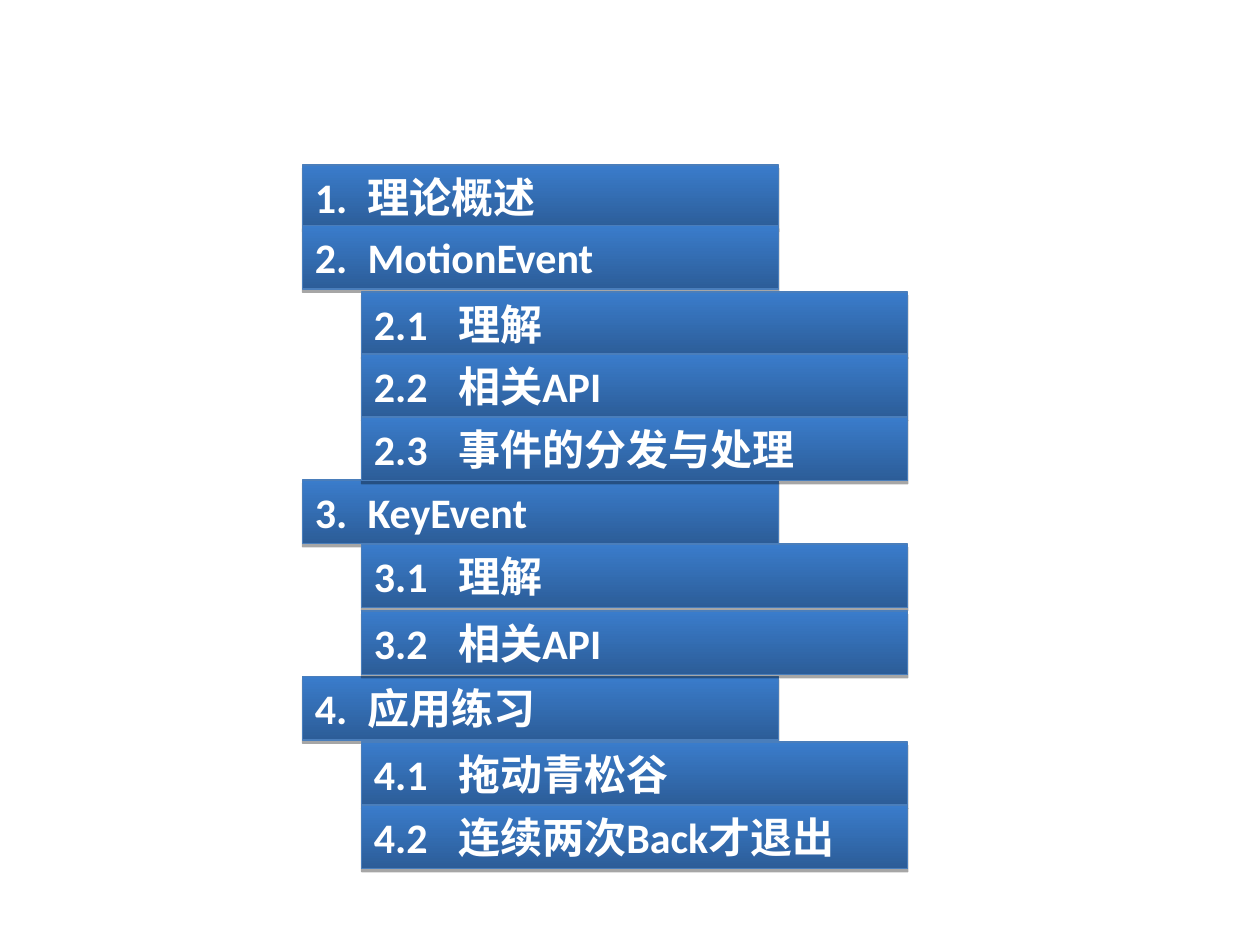
from dataclasses import dataclass

from lxml import etree
from pptx import Presentation
from pptx.dml.color import RGBColor
from pptx.enum import shapes, text
from pptx.oxml import ns
from pptx.util import Cm, Pt

FONT = "Calibri"
WHITE, LINE, DARK, LIGHT, BLACK = "FFFFFF", "4A7EBB", "2C5D98", "3A7CCB", "000000"
BAR_HEIGHT = 1.28


@dataclass(frozen=True)
class Level:
    """Placing shared by all bars of one outline level, in cm."""
    left: float
    width: float
    title_tab: float


@dataclass(frozen=True)
class Entry:
    level: Level
    top: float
    number: str
    title: str


CHAPTER = Level(left=6.1, width=9.6, title_tab=1.06)
TOPIC = Level(left=7.29, width=11.01, title_tab=1.7)

ENTRIES = [
    Entry(CHAPTER, 3.33, "1.", "理论概述"),
    Entry(CHAPTER, 4.55, "2.", "MotionEvent"),
    Entry(CHAPTER, 9.68, "3.", "KeyEvent"),
    Entry(CHAPTER, 13.64, "4.", "应用练习"),
    Entry(TOPIC, 5.89, "2.1", "理解"),
    Entry(TOPIC, 7.14, "2.2", "相关API"),
    Entry(TOPIC, 8.41, "2.3", "事件的分发与处理"),
    Entry(TOPIC, 10.97, "3.1", "理解"),
    Entry(TOPIC, 12.32, "3.2", "相关API"),
    Entry(TOPIC, 14.96, "4.1", "拖动青松谷"),
    Entry(TOPIC, 16.23, "4.2", "连续两次Back才退出"),
]


def rgb(value: str) -> RGBColor:
    return RGBColor.from_string(value)


def add_child(parent, tag: str, **attrs):
    return etree.SubElement(parent, ns.qn(tag), {k: str(v) for k, v in attrs.items()})


def add_shadow(sp) -> None:
    sp.shadow.inherit = False
    effects = sp.element.spPr.find(ns.qn("a:effectLst"))
    shadow = add_child(effects, "a:outerShdw", blurRad=0, dist=Pt(1.8),
                       dir=90 * 60000, rotWithShape=0)
    color = add_child(shadow, "a:srgbClr", val=BLACK)
    add_child(color, "a:alpha", val=35000)


def fill_bar(sp) -> None:
    sp.fill.gradient()
    sp.fill.gradient_angle = 90
    for stop, color in zip(sp.fill.gradient_stops, (DARK, LIGHT)):
        stop.color.rgb = rgb(color)
    sp.line.color.rgb = rgb(LINE)
    sp.line.width = Pt(0.75)


def add_run(p, content: str) -> None:
    r = p.add_run()
    r.text = content
    r.font.name = FONT
    r.font.size = Pt(24)
    r.font.bold = True
    r.font.color.rgb = rgb(WHITE)


def add_bar(s, entry: Entry) -> None:
    level = entry.level
    sp = s.shapes.add_shape(shapes.MSO_SHAPE.RECTANGLE, Cm(level.left), Cm(entry.top),
                            Cm(level.width), Cm(BAR_HEIGHT))
    fill_bar(sp)
    add_shadow(sp)
    tf = sp.text_frame
    tf.word_wrap = True
    tf.vertical_anchor = text.MSO_ANCHOR.TOP
    p = tf.paragraphs[0]
    p.alignment = text.PP_ALIGN.LEFT
    tabs = add_child(p._p.get_or_add_pPr(), "a:tabLst")
    add_child(tabs, "a:tab", pos=Cm(level.title_tab), algn="l")
    add_run(p, f"{entry.number}\t{entry.title}")


def main() -> None:
    prs = Presentation()
    prs.slide_width, prs.slide_height = Cm(25.4), Cm(19.05)
    s = prs.slides.add_slide(prs.slide_layouts[6])
    for entry in ENTRIES:
        add_bar(s, entry)
    prs.save("out.pptx")


if __name__ == "__main__":
    main()
